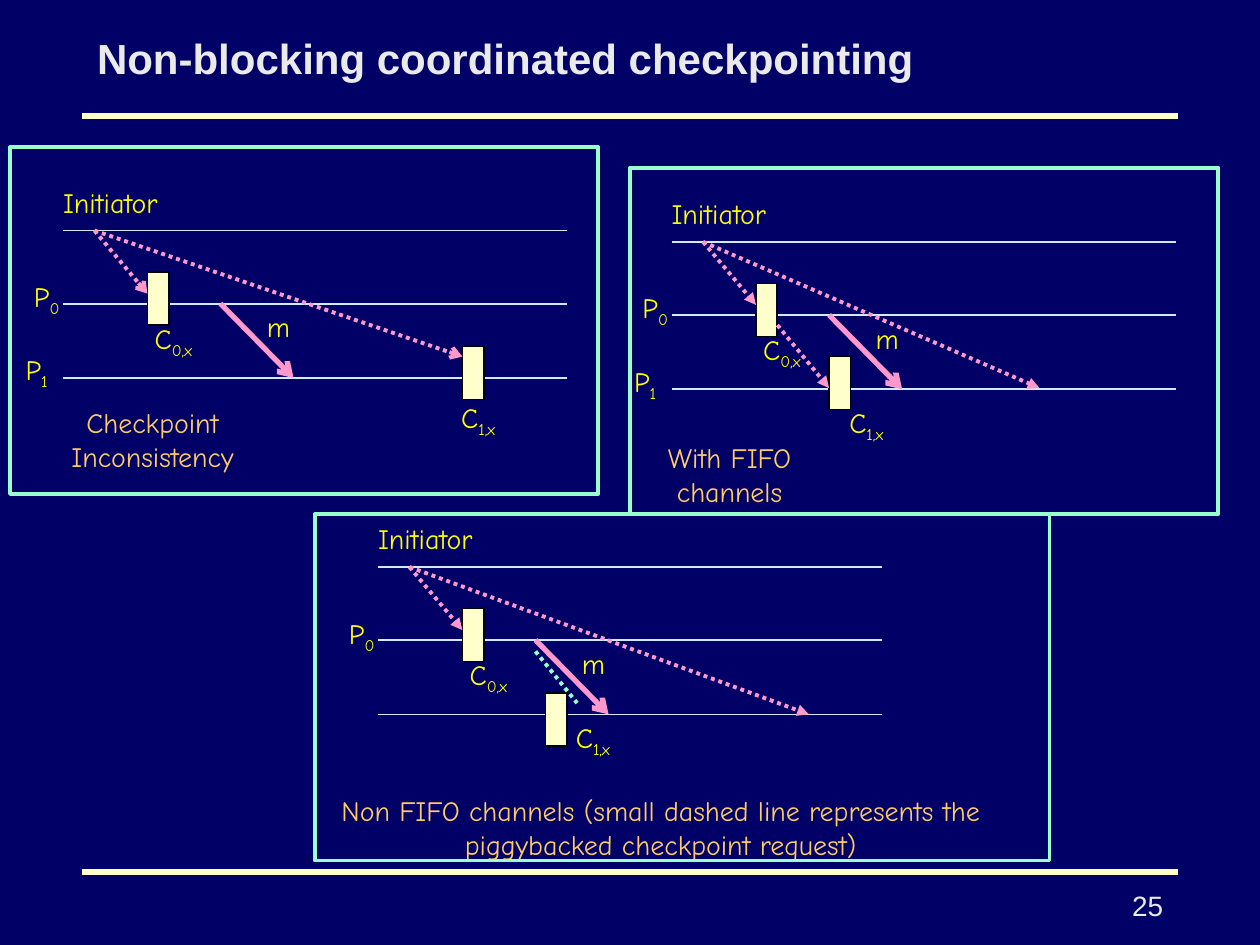
from lxml import etree
from pptx import Presentation
from pptx.dml.color import RGBColor
from pptx.enum import dml, shapes, text
from pptx.oxml import ns
from pptx.util import Inches, Pt

NAVY, CREAM, WHITE, BLACK = "000066", "FFFFCC", "EAEAEA", "000000"
PALE, PINK, MINT = "CCECFF", "FF99CC", "99FFCC"
YELLOW, ORANGE = "FFFF00", "FFCC66"

TITLE = "Non-blocking coordinated checkpointing"
PAGE_NUMBER = "25"
BODY_FONT = "Comic Neue"

# Frame and caption boxes are on the slide; all else is relative to the origin,
# the left end of the panel's initiator line.
PANELS = [
    dict(origin=(0.5, 1.83), frame=(0.08, 1.17, 4.67, 2.75),
         caption=("Checkpoint Inconsistency", (0.17, 3.17, 2.08, 0.64)),
         request_head="arrow", request_end=(3.17, 1.0),
         second_checkpoint=(3.17, 0.92), second_label=(2.92, 1.3),
         show_p1=True, forwarded=None),
    dict(origin=(5.33, 1.92), frame=(5, 1.33, 4.67, 2.75),
         caption=("With FIFO channels", (4.75, 3.45, 2.08, 0.64)),
         request_head="triangle", request_end=(2.92, 1.16),
         second_checkpoint=(1.25, 0.91), second_label=(1.17, 1.25),
         show_p1=True, forwarded=((0.84, 0.66), (1.25, 1.16), PINK, "triangle")),
    dict(origin=(3, 4.5), frame=(2.5, 4.08, 5.83, 2.75),
         caption=("Non FIFO channels (small dashed line represents the "
                  "piggybacked checkpoint request)", (2.58, 6.25, 5.33, 0.64)),
         request_head="triangle", request_end=(3.42, 1.17),
         second_checkpoint=(1.33, 1.0), second_label=(1.33, 1.17),
         show_p1=False, forwarded=((1.25, 0.67), (1.58, 1.08), MINT, None)),
]
PROCESS_LINES = (0, 0.58, 1.17)
LINE_LENGTH = 4
CHECKPOINT_SIZE = (0.17, 0.42)
# text, subscript, offset from the origin, size
LABELS = [
    ("Initiator", "", (-0.25, -0.41), (1.25, 0.37)),
    ("P", "0", (-0.42, 0.34), (0.58, 0.41)),
    ("m", "", (1.42, 0.58), (0.58, 0.37)),
    ("C", "0,x", (0.5, 0.67), (0.75, 0.41)),
]
P1_LABEL = ("P", "1", (-0.5, 0.92), (0.58, 0.41))


def color(value):
    return RGBColor.from_string(value)


def add_line(slide, start, end, line_color, width, dotted=False, head=None):
    line = slide.shapes.add_connector(
        shapes.MSO_CONNECTOR.STRAIGHT, *(Inches(v) for v in (*start, *end)))
    line.line.color.rgb = color(line_color)
    line.line.width = Pt(width)
    if dotted:
        line.line.dash_style = dml.MSO_LINE.ROUND_DOT
    if head:
        outline = line.line._get_or_add_ln()
        etree.SubElement(outline, ns.qn("a:tailEnd"), type=head)
    etree.SubElement(line._element.spPr, ns.qn("a:effectLst"))


def add_rectangle(slide, box, line_color, width, fill=None):
    rectangle = slide.shapes.add_shape(
        shapes.MSO_SHAPE.RECTANGLE, *(Inches(v) for v in box))
    rectangle.shadow.inherit = False
    if fill:
        rectangle.fill.solid()
        rectangle.fill.fore_color.rgb = color(fill)
    else:
        rectangle.fill.background()
    rectangle.line.color.rgb = color(line_color)
    rectangle.line.width = Pt(width)


def add_run(paragraph, words, size, name, font_color, bold=False):
    run = paragraph.add_run()
    run.text = words
    run.font.size = Pt(size)
    run.font.name = name
    run.font.bold = bold
    run.font.color.rgb = color(font_color)
    return run


def add_text(slide, box, words, font_color, subscript="", name=BODY_FONT,
             align=text.PP_ALIGN.CENTER):
    frame = slide.shapes.add_textbox(*(Inches(v) for v in box)).text_frame
    frame.word_wrap = True
    paragraph = frame.paragraphs[0]
    paragraph.alignment = align
    add_run(paragraph, words, 16, name, font_color)
    if subscript:
        run = add_run(paragraph, subscript, 16, name, font_color)
        run.font._element.set("baseline", "-25000")


def add_panel(slide, panel):
    left, top = panel["origin"]

    def at(point):
        return left + point[0], top + point[1]

    for y in PROCESS_LINES:
        add_line(slide, at((0, y)), at((LINE_LENGTH, y)), PALE, 1)
    for corner in ((0.67, 0.33), panel["second_checkpoint"]):
        add_rectangle(slide, (*at(corner), *CHECKPOINT_SIZE), BLACK, 1, CREAM)
    for end in ((0.67, 0.5), panel["request_end"]):
        add_line(slide, at((0.25, 0)), at(end), PINK, 2.25, True,
                 panel["request_head"])
    add_line(slide, at((1.25, 0.58)), at((1.83, 1.17)), PINK, 3, head="arrow")

    labels = LABELS + [("C", "1,x", panel["second_label"], (0.75, 0.41))]
    if panel["show_p1"]:
        labels.append(P1_LABEL)
    for words, subscript, offset, size in labels:
        add_text(slide, (*at(offset), *size), words, YELLOW, subscript)
    caption, caption_box = panel["caption"]
    add_text(slide, caption_box, caption, ORANGE)

    if panel["forwarded"]:
        start, end, line_color, head = panel["forwarded"]
        add_line(slide, at(start), at(end), line_color, 2.25, True, head)
    add_rectangle(slide, panel["frame"], MINT, 2.25)


def main():
    presentation = Presentation()
    presentation.slide_width, presentation.slide_height = Inches(10), Inches(7.5)
    slide = presentation.slides.add_slide(presentation.slide_layouts[5])
    slide.background.fill.solid()
    slide.background.fill.fore_color.rgb = color(NAVY)

    title = slide.shapes.title
    title.left, title.top = Inches(0.67), Inches(0.17)
    title.width, title.height = Inches(8.67), Inches(0.58)
    title.text_frame.vertical_anchor = text.MSO_ANCHOR.MIDDLE
    title.text_frame.auto_size = text.MSO_AUTO_SIZE.NONE
    heading = title.text_frame.paragraphs[0]
    heading.alignment = text.PP_ALIGN.LEFT
    add_run(heading, TITLE, 24, "Arial", WHITE, bold=True)

    for y in (0.92, 6.92):
        add_line(slide, (0.65, y), (9.35, y), CREAM, 3)
    add_text(slide, (8.25, 7, 1.08, 0.33), PAGE_NUMBER, WHITE, name="Arial",
             align=text.PP_ALIGN.RIGHT)
    for panel in PANELS:
        add_panel(slide, panel)
    presentation.save("out.pptx")


if __name__ == "__main__":
    main()
